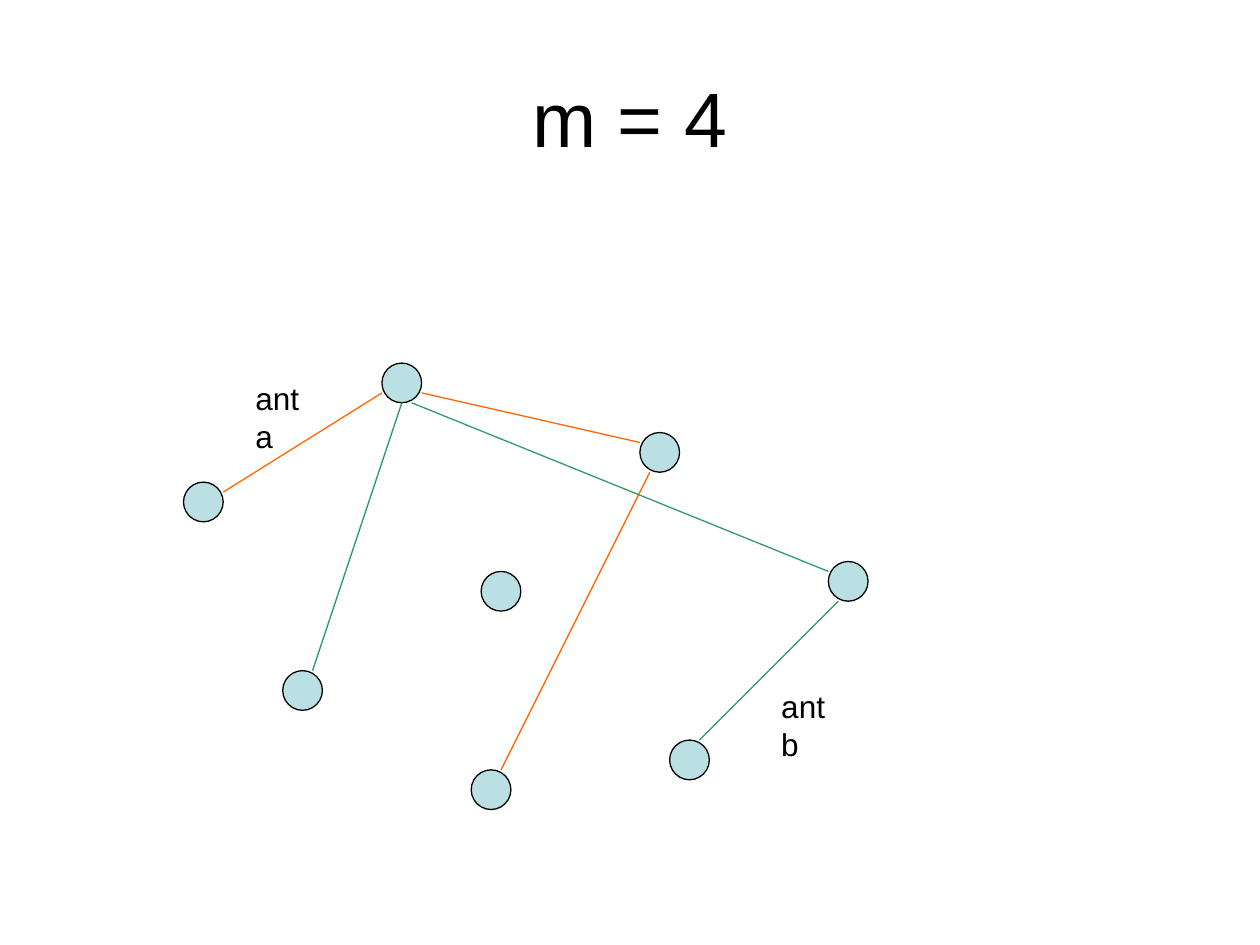
from lxml.etree import SubElement
from pptx import Presentation
from pptx.dml.color import RGBColor
from pptx.enum.shapes import MSO_CONNECTOR, MSO_SHAPE
from pptx.enum.text import MSO_ANCHOR, MSO_AUTO_SIZE, PP_ALIGN
from pptx.oxml.ns import qn
from pptx.util import Cm, Pt

BLACK, NODE_FILL = "000000", "BBE0E3"
ANT_A, ANT_B = "FF6600", "339966"
NODE_SIZE = 0.8

NODES = [(2, 6.2), (4, 0), (9.8, 7.6), (9.2, 1.4),
         (6, 4.2), (0, 2.4), (13, 4), (5.8, 8.2)]
PATHS = {
    ANT_A: [((0.8, 2.6), (4, 0.6)), ((4.8, 0.6), (9.2, 1.6)),
            ((9.4, 2.2), (6.4, 8.2))],
    ANT_B: [((4.4, 0.8), (2.6, 6.2)), ((4.6, 0.8), (13, 4.2)),
            ((13.2, 4.8), (10.4, 7.6))],
}
LABELS = [("ant a", 1.2, 0.2), ("ant b", 11.8, 6.4)]


def rgb(value):
    return RGBColor.from_string(value)


def set_line(sp, color):
    sp.line.color.rgb = rgb(color)
    sp.line.width = Pt(0.75)


def set_text(tf, text, size, align):
    tf.text = text
    p = tf.paragraphs[0]
    p.alignment = align
    p.font.name = "Arial"
    p.font.size = Pt(size)
    p.font.color.rgb = rgb(BLACK)


def add_title(s, text, left, top, width, height):
    sp = s.shapes.title
    sp.left, sp.top, sp.width, sp.height = map(Cm, (left, top, width, height))
    sp.text_frame.vertical_anchor = MSO_ANCHOR.MIDDLE
    set_text(sp.text_frame, text, 44, PP_ALIGN.CENTER)


def add_node(s, x, y):
    sp = s.shapes.add_shape(MSO_SHAPE.OVAL, Cm(x), Cm(y),
                            Cm(NODE_SIZE), Cm(NODE_SIZE))
    sp.shadow.inherit = False
    sp.fill.solid()
    sp.fill.fore_color.rgb = rgb(NODE_FILL)
    set_line(sp, BLACK)


def add_edge(s, x1, y1, x2, y2, color):
    sp = s.shapes.add_connector(MSO_CONNECTOR.STRAIGHT,
                                Cm(x1), Cm(y1), Cm(x2), Cm(y2))
    set_line(sp, color)
    SubElement(sp._element.spPr, qn("a:effectLst"))


def add_label(s, text, x, y):
    tf = s.shapes.add_textbox(Cm(x), Cm(y), Cm(1.91), Cm(1.02)).text_frame
    tf.word_wrap = False
    tf.auto_size = MSO_AUTO_SIZE.SHAPE_TO_FIT_TEXT
    set_text(tf, text, 18, PP_ALIGN.LEFT)


def add_graph(s, left, top):
    for x, y in NODES:
        add_node(s, left + x, top + y)
    for color, edges in PATHS.items():
        for (x1, y1), (x2, y2) in edges:
            add_edge(s, left + x1, top + y1, left + x2, top + y2, color)
    for text, x, y in LABELS:
        add_label(s, text, left + x, top + y)


def main():
    prs = Presentation()
    prs.slide_width, prs.slide_height = Cm(25.4), Cm(19.05)
    s = prs.slides.add_slide(prs.slide_layouts[5])
    add_title(s, "m = 4", 1.27, 0.76, 22.86, 3.18)
    add_graph(s, 3.7, 7.32)
    prs.save("out.pptx")


if __name__ == "__main__":
    main()
